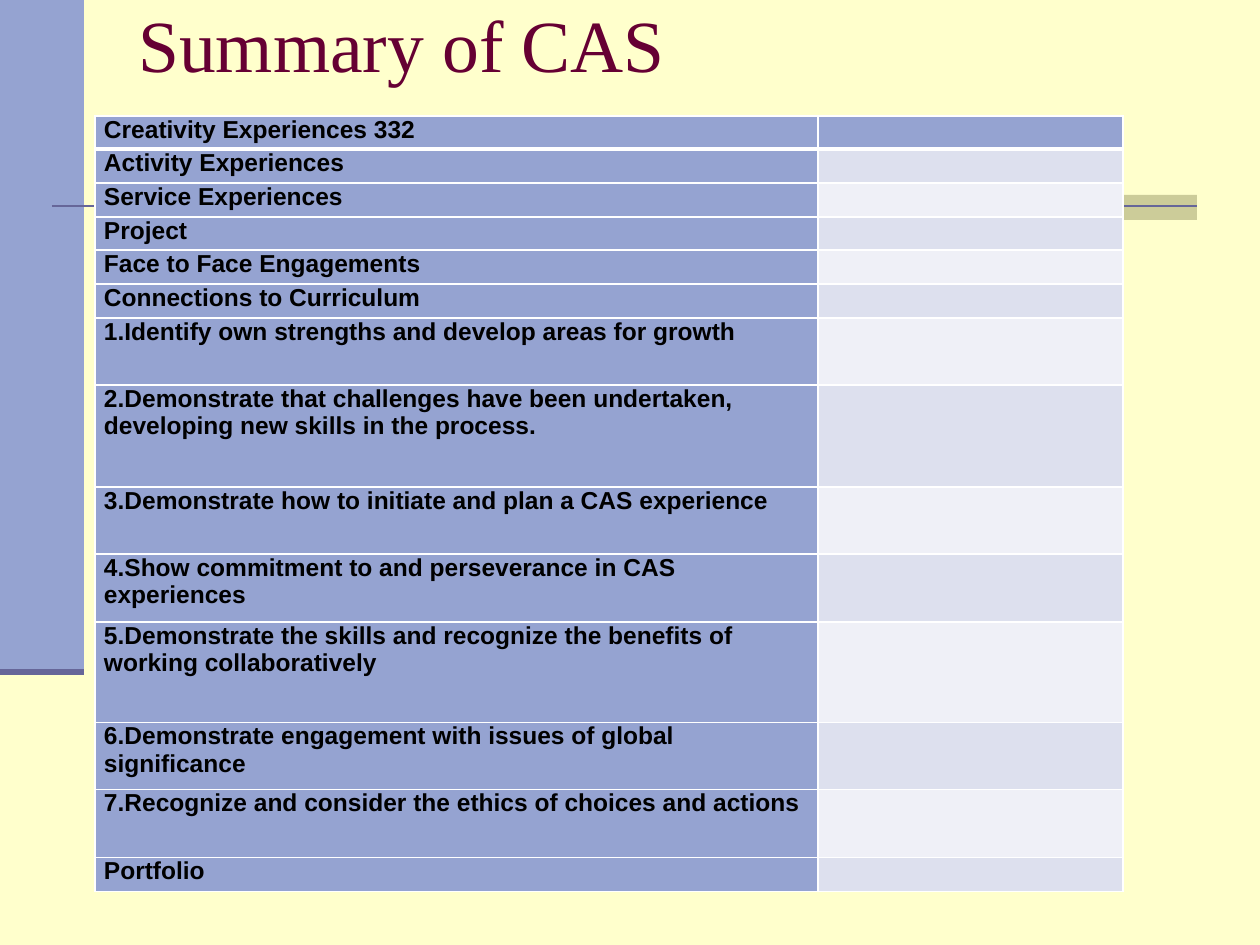
from dataclasses import dataclass
from itertools import accumulate

from lxml import etree
from pptx import Presentation
from pptx.dml.color import RGBColor
from pptx.enum.shapes import MSO_CONNECTOR, MSO_SHAPE
from pptx.enum.text import MSO_ANCHOR
from pptx.oxml.ns import qn
from pptx.util import Emu, Pt

RECTANGLE = MSO_SHAPE.RECTANGLE
STRAIGHT = MSO_CONNECTOR.STRAIGHT
MIDDLE = MSO_ANCHOR.MIDDLE
PX = 914400 // 126


@dataclass(frozen=True)
class Theme:
    background: str = "FFFFCC"
    accent: str = "95A3D1"
    tab: str = "CCCC99"
    rule: str = "666699"
    title: str = "660033"
    text: str = "000000"
    border: str = "FFFFFF"
    bands: tuple = ("EFF0F7", "DDE0EE")
    title_font: str = "Times New Roman"
    table_font: str = "Arial"
    title_size: int = 42
    table_size: int = 14


THEME = Theme()


def px(length):
    return Emu(length * PX)


def set_border(cell, side, width):
    """Draw one cell edge; side is L, R, T or B and width is in points."""
    edge = etree.SubElement(cell._tc.get_or_add_tcPr(), qn(f"a:ln{side}"), w=str(Pt(width)))
    fill = etree.SubElement(edge, qn("a:solidFill"))
    etree.SubElement(fill, qn("a:srgbClr"), val=THEME.border)


prs = Presentation()
prs.slide_width, prs.slide_height = px(1260), px(945)
slide = prs.slides.add_slide(prs.slide_layouts[6])
slide.background.fill.solid()
slide.background.fill.fore_color.rgb = RGBColor.from_string(THEME.background)

# Side panel and tab
for left, top, width, height, color in (
    (0, 0, 84, 672, THEME.accent),
    (945, 195, 252, 25, THEME.tab),
):
    panel = slide.shapes.add_shape(RECTANGLE, px(left), px(top), px(width), px(height))
    panel.shadow.inherit = False
    panel.fill.solid()
    panel.fill.fore_color.rgb = RGBColor.from_string(color)
    panel.line.fill.background()

# Horizontal rules
for start, end, y, weight in ((52, 1197, 206, 1.5), (0, 84, 672, 3.5)):
    rule = slide.shapes.add_connector(STRAIGHT, px(start), px(y), px(end), px(y))
    rule.line.color.rgb = RGBColor.from_string(THEME.rule)
    rule.line.width = Pt(weight)
    etree.SubElement(rule._element.spPr, qn("a:effectLst"))

# Title
title = slide.shapes.add_textbox(px(126), px(5), px(1071), px(77)).text_frame
title.word_wrap = True
title.vertical_anchor = MIDDLE
title.text = "Summary of CAS"
title_font = title.paragraphs[0].runs[0].font
title_font.name = THEME.title_font
title_font.size = Pt(THEME.title_size)
title_font.color.rgb = RGBColor.from_string(THEME.title)

# Summary table: each entry has a label and its height in row units
entries = (
    ("Creativity Experiences 332", 1),
    ("Activity Experiences", 1),
    ("Service Experiences", 1),
    ("Project", 1),
    ("Face to Face Engagements", 1),
    ("Connections to Curriculum", 1),
    ("1.Identify own strengths and develop areas for growth", 2),
    ("2.Demonstrate that challenges have been undertaken, developing new skills in the process.", 3),
    ("3.Demonstrate how to initiate and plan a CAS experience", 2),
    ("4.Show commitment to and perseverance in CAS experiences", 2),
    ("5.Demonstrate the skills and recognize the benefits of working collaboratively", 3),
    ("6.Demonstrate engagement with issues of global significance", 2),
    ("7.Recognize and consider the ethics of choices and actions", 2),
    ("Portfolio", 1),
)
TABLE_HEIGHT = 776
column_widths = (723, 305)
units = list(accumulate((size for _, size in entries), initial=0))
edges = [TABLE_HEIGHT * unit // units[-1] for unit in units]

summary = slide.shapes.add_table(
    len(entries), 2, px(95), px(116), px(sum(column_widths)), px(TABLE_HEIGHT)
).table
for column, width in zip(summary.columns, column_widths):
    column.width = px(width)

for i, (label, _) in enumerate(entries):
    summary.rows[i].height = px(edges[i + 1] - edges[i])
    label_cell, result_cell = summary.rows[i].cells
    result_color = THEME.accent if i == 0 else THEME.bands[i % 2]
    for cell, color in ((label_cell, THEME.accent), (result_cell, result_color)):
        cell.margin_left = cell.margin_right = px(9)
        cell.margin_top = cell.margin_bottom = 0
        for side in "LRTB":
            header_edge = (i, side) in ((0, "B"), (1, "T"))
            set_border(cell, side, 3 if header_edge else 1)
        cell.fill.solid()
        cell.fill.fore_color.rgb = RGBColor.from_string(color)

    label_cell.text_frame.text = label
    font = label_cell.text_frame.paragraphs[0].runs[0].font
    font.name = THEME.table_font
    font.size = Pt(THEME.table_size)
    font.bold = True
    font.color.rgb = RGBColor.from_string(THEME.text)

    # The empty cell needs a small type size so that it does not stretch the row
    empty = result_cell.text_frame.paragraphs[0]._p
    etree.SubElement(empty, qn("a:endParaRPr"), sz=str(THEME.table_size * 100))

prs.save("out.pptx")
